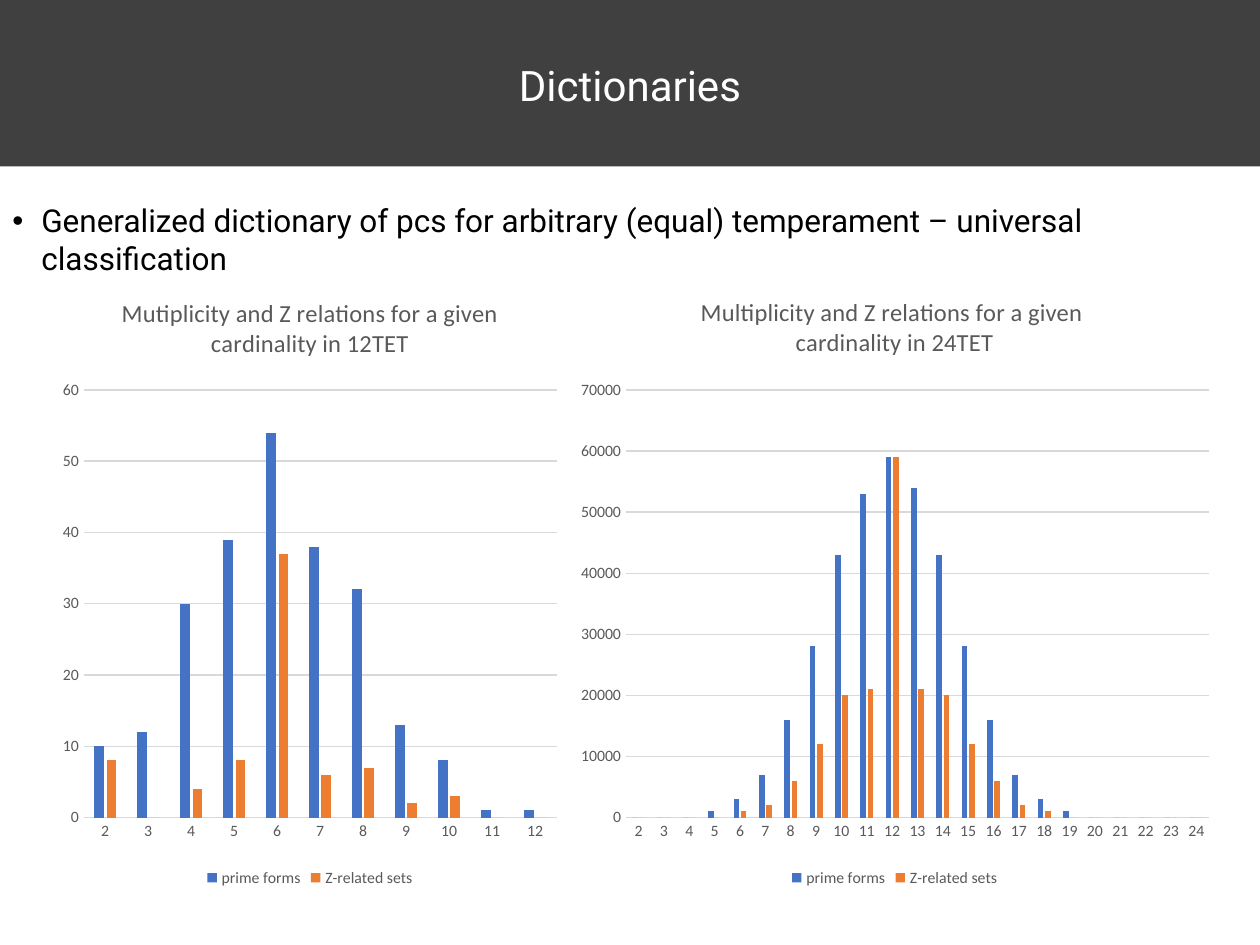
from lxml import etree
from pptx import Presentation
from pptx.chart.data import CategoryChartData
from pptx.dml.color import RGBColor
from pptx.enum.chart import XL_CHART_TYPE, XL_LEGEND_POSITION, XL_TICK_MARK
from pptx.enum.shapes import MSO_SHAPE
from pptx.enum.text import MSO_ANCHOR, PP_ALIGN
from pptx.oxml.ns import qn
from pptx.util import Inches, Pt

COLUMNS = XL_CHART_TYPE.COLUMN_CLUSTERED
BOTTOM = XL_LEGEND_POSITION.BOTTOM
NO_TICK = XL_TICK_MARK.NONE
RECTANGLE = MSO_SHAPE.RECTANGLE
MIDDLE = MSO_ANCHOR.MIDDLE
CENTER = PP_ALIGN.CENTER

DARK = RGBColor(0x40, 0x40, 0x40)
WHITE = RGBColor(0xFF, 0xFF, 0xFF)
BLACK = RGBColor(0x00, 0x00, 0x00)
GRAY = RGBColor(0x59, 0x59, 0x59)
GRID = RGBColor(0xD9, 0xD9, 0xD9)
BLUE = RGBColor(0x44, 0x72, 0xC4)
ORANGE = RGBColor(0xED, 0x7D, 0x31)

# Counts for each cardinality, starting at 2
PRIMES_12 = [10, 12, 30, 39, 54, 38, 32, 13, 8, 1, 1]
Z_SETS_12 = [8, 0, 4, 8, 37, 6, 7, 2, 3, 0, 0]
PRIMES_24 = [0, 0, 0, 1000, 3000, 7000, 16000, 28000, 43000, 53000, 59000, 54000,
             43000, 28000, 16000, 7000, 3000, 1000, 0, 0, 0, 0, 0]
Z_SETS_24 = [0, 0, 0, 0, 1000, 2000, 6000, 12000, 20000, 21000, 59000, 21000,
             20000, 12000, 6000, 2000, 1000, 0, 0, 0, 0, 0, 0]


class SlideBuilder:
    text_font = "Roboto"
    chart_font = "Calibri"

    def __init__(self, slide):
        self.slide = slide

    def style(self, font, name, size, color):
        font.name = name
        font.size = Pt(size)
        font.bold = False
        font.color.rgb = color

    def title(self, text, left, top, width, height):
        title = self.slide.shapes.title
        title.left, title.top = Inches(left), Inches(top)
        title.width, title.height = Inches(width), Inches(height)
        title.text_frame.vertical_anchor = MIDDLE
        para = title.text_frame.paragraphs[0]
        para.text = text
        para.alignment = CENTER
        self.style(para.font, self.text_font, 24, WHITE)

    def band(self, width, height):
        band = self.slide.shapes.add_shape(RECTANGLE, 0, 0, Inches(width), Inches(height))
        band.shadow.inherit = False
        band.fill.solid()
        band.fill.fore_color.rgb = DARK
        band.line.fill.background()
        # Keep the band behind the title
        self.slide.shapes.title._element.addprevious(band._element)

    def bullet(self, text, left, top, width, height):
        box = self.slide.shapes.add_textbox(
            Inches(left), Inches(top), Inches(width), Inches(height))
        box.text_frame.word_wrap = True
        para = box.text_frame.paragraphs[0]
        para.text = text
        properties = para._p.get_or_add_pPr()
        indent = Inches(0.23)
        properties.set("marL", str(indent))
        properties.set("indent", str(-indent))
        etree.SubElement(properties, qn("a:buFont")).set("typeface", "Arial")
        etree.SubElement(properties, qn("a:buChar")).set("char", "•")
        self.style(para.font, self.text_font, 18, BLACK)

    def chart(self, title, primes, z_sets, left, width, plot_area):
        data = CategoryChartData()
        data.categories = [str(number) for number in range(2, len(primes) + 2)]
        data.add_series("prime forms", primes)
        data.add_series("Z-related sets", z_sets)
        chart = self.slide.shapes.add_chart(
            COLUMNS, Inches(left), Inches(2.16), Inches(width), Inches(4.92), data).chart
        self.style(chart.font, self.chart_font, 10, BLACK)

        # Title and legend
        para = chart.chart_title.text_frame.paragraphs[0]
        para.text = title
        self.style(para.font, self.chart_font, 14, GRAY)
        chart.chart_title.include_in_layout = False
        chart.has_legend = True
        chart.legend.position = BOTTOM
        chart.legend.include_in_layout = False
        self.style(chart.legend.font, self.chart_font, 9, GRAY)

        # Axes
        for axis in (chart.category_axis, chart.value_axis):
            axis.major_tick_mark = axis.minor_tick_mark = NO_TICK
            self.style(axis.tick_labels.font, self.chart_font, 9, GRAY)
        chart.value_axis.format.line.fill.background()
        chart.value_axis.has_major_gridlines = True
        for holder in (chart.category_axis, chart.value_axis.major_gridlines):
            holder.format.line.color.rgb = GRID
            holder.format.line.width = Pt(0.75)

        # Columns
        plot = chart.plots[0]
        plot.gap_width = 219
        plot.overlap = -27
        plot.vary_by_categories = False
        for series, color in zip(plot.series, (BLUE, ORANGE)):
            series.format.fill.solid()
            series.format.fill.fore_color.rgb = color
            series.invert_if_negative = False
        self.place_plot(chart, plot_area)

    def place_plot(self, chart, plot_area):
        """Fix the inner plot area, given as fractions of the chart."""
        area = chart._chartSpace.chart.plotArea
        for old in area.findall(qn("c:layout")):
            area.remove(old)
        layout = etree.Element(qn("c:layout"))
        area.insert(0, layout)
        manual = etree.SubElement(layout, qn("c:manualLayout"))
        settings = [("layoutTarget", "inner"), ("xMode", "edge"), ("yMode", "edge")]
        settings += zip("xywh", plot_area)
        for name, value in settings:
            etree.SubElement(manual, qn("c:" + name)).set("val", str(value))


def main():
    deck = Presentation()
    deck.slide_width, deck.slide_height = Inches(10), Inches(7.5)
    page = SlideBuilder(deck.slides.add_slide(deck.slide_layouts[5]))

    # Header
    page.band(10, 1.32)
    page.title("Dictionaries", 2.31, 0.42, 5.38, 0.5)

    # Statement
    page.bullet("Generalized dictionary of pcs for arbitrary (equal) temperament "
                "– universal classification", 0, 1.55, 9.86, 0.7)

    # Charts side by side
    page.chart("Mutiplicity and Z relations for a given cardinality in 12TET",
               PRIMES_12, Z_SETS_12, 0.42, 4.08, (0.06, 0.19, 0.92, 0.69))
    page.chart("Multiplicity and Z relations for a given \vcardinality in 24TET",
               PRIMES_24, Z_SETS_24, 4.5, 5.2, (0.09, 0.19, 0.89, 0.69))

    deck.save("out.pptx")


if __name__ == "__main__":
    main()
